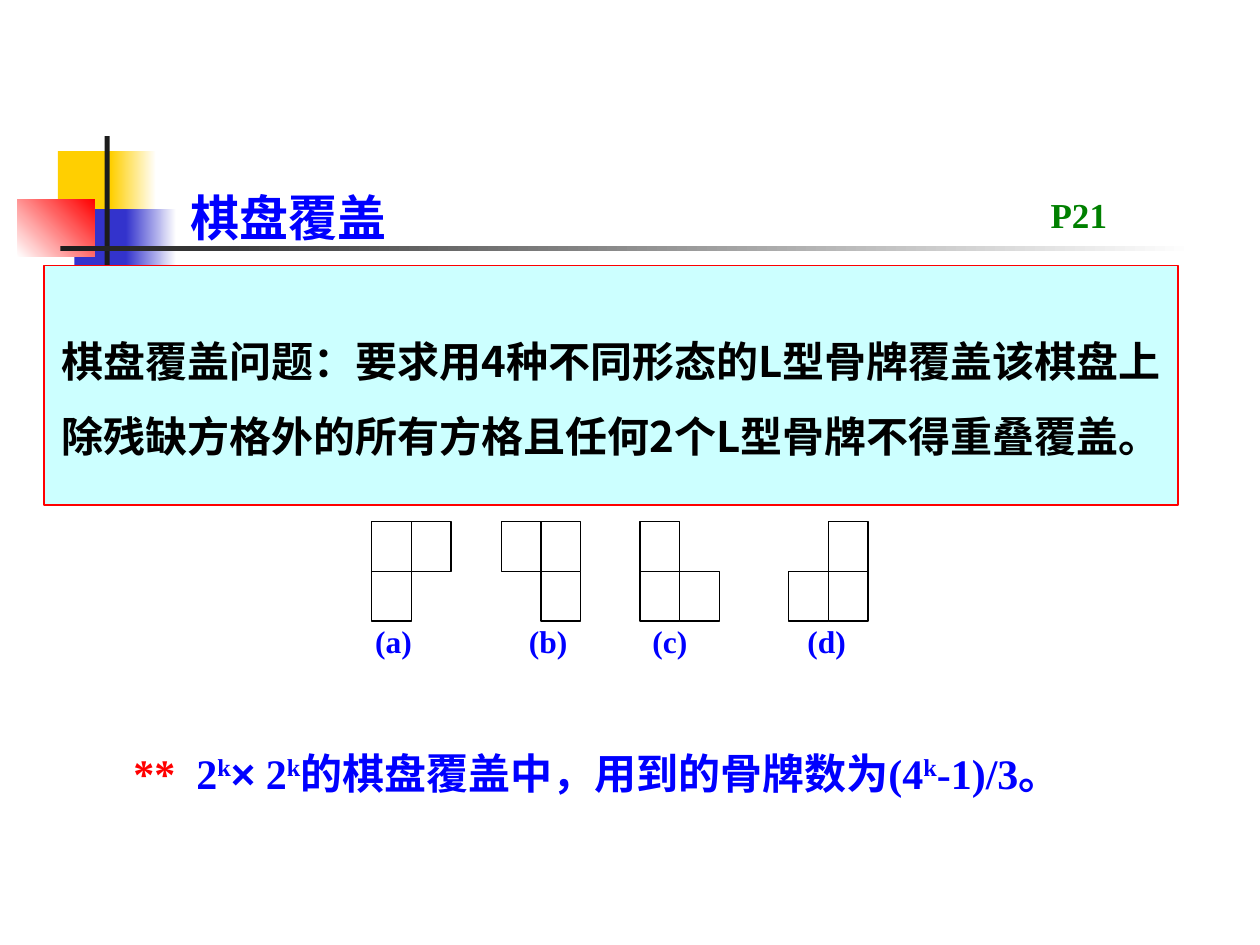
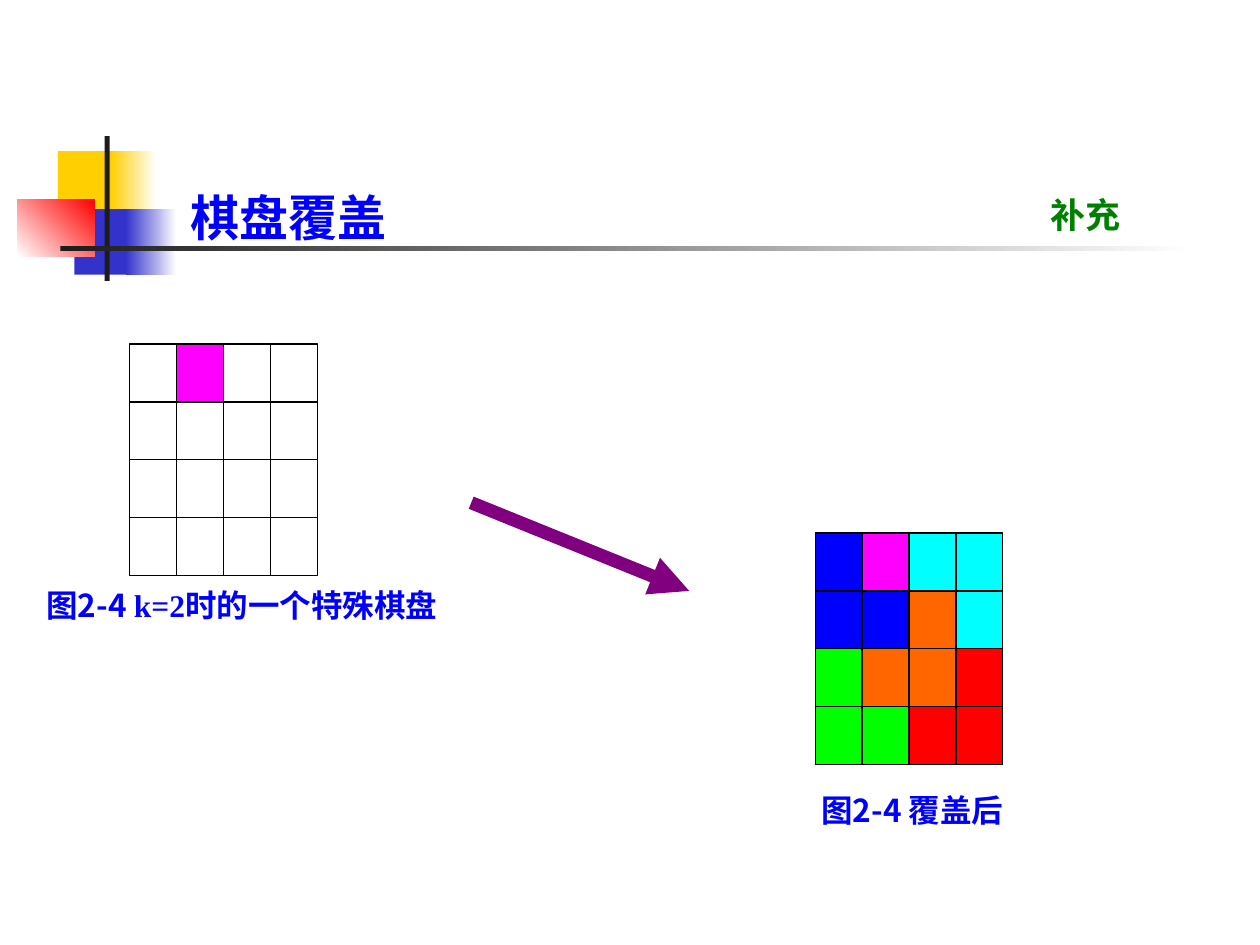
from lxml import etree
from pptx import Presentation
from pptx.dml.color import RGBColor
from pptx.enum.shapes import MSO_CONNECTOR, MSO_SHAPE
from pptx.enum.text import MSO_ANCHOR, MSO_AUTO_SIZE, PP_ALIGN
from pptx.oxml.ns import qn
from pptx.util import Inches, Pt

RECTANGLE = MSO_SHAPE.RECTANGLE
STRAIGHT = MSO_CONNECTOR.STRAIGHT
TOP, MIDDLE = MSO_ANCHOR.TOP, MSO_ANCHOR.MIDDLE
FIT_SHAPE = MSO_AUTO_SIZE.SHAPE_TO_FIT_TEXT
LEFT = PP_ALIGN.LEFT

SERIF, SANS, PLAIN = "Times New Roman", "Noto Sans CJK SC", "Arial"

WHITE = RGBColor(0xFF, 0xFF, 0xFF)
BLACK = RGBColor(0, 0, 0)
BLUE = RGBColor(0, 0, 0xFF)
RED = RGBColor(0xFF, 0, 0)
GREEN = RGBColor(0, 0x80, 0)
PURPLE = RGBColor(0x80, 0, 0x80)
PALE_CYAN = RGBColor(0xCC, 0xFF, 0xFF)
GOLD = RGBColor(0xFF, 0xCF, 0x01)
INDIGO = RGBColor(0x33, 0x33, 0xCC)
CHARCOAL = RGBColor(0x1C, 0x1C, 0x1C)

# Boards are drawn from rows of letters; "." leaves a square out.
SQUARE_COLOURS = {
    "w": WHITE,
    "m": RGBColor(0xFF, 0, 0xFF),
    "b": BLUE,
    "c": RGBColor(0, 0xFF, 0xFF),
    "o": RGBColor(0xFF, 0x66, 0),
    "g": RGBColor(0, 0xFF, 0),
    "r": RED,
}

# box, colours (two make a gradient), gradient angle
ORNAMENTS = [
    ((0.46, 1.2, 0.48, 0.52), [GOLD], 0),
    ((0.88, 1.2, 0.36, 0.52), [GOLD, WHITE], 0),
    ((0.59, 1.66, 0.46, 0.52), [INDIGO], 0),
    ((1, 1.66, 0.4, 0.52), [INDIGO, WHITE], 0),
    ((0.14, 1.58, 0.61, 0.46), [WHITE, RED], 45),
    ((0.83, 1.08, 0.04, 1.15), [CHARCOAL], 0),
    ((0.48, 1.95, 9, 0.04), [CHARCOAL, WHITE], 0),
]

TITLE = "棋盘覆盖"
PROBLEM = ("棋盘覆盖问题：要求用4种不同形态的L型骨牌覆盖该棋盘"
           "上除残缺方格外的所有方格且任何2个L型骨牌不得重叠覆盖。")

# label, label left, piece left, piece rows
PIECES = [
    ("(a)", 2.88, 2.95, ["ww", "w."]),
    ("(b)", 4.1, 3.98, ["ww", ".w"]),
    ("(c)", 5.08, 5.08, ["w.", "ww"]),
    ("(d)", 6.31, 6.26, [".w", "ww"]),
]
PIECE_TOP, PIECE_SQUARE = 4.14, (0.31, 0.39)
PIECE_SQUARE = (0.63 / 2, 0.79 / 2)

# text, font, colour, superscript
TILE_COUNT = [
    ("**  ", SERIF, RED, False),
    ("2", SERIF, BLUE, False),
    ("k", SERIF, BLUE, True),
    ("×", PLAIN, BLUE, False),
    (" 2", SERIF, BLUE, False),
    ("k", SERIF, BLUE, True),
    ("的棋盘覆盖中，用到的骨牌数为", SANS, BLUE, False),
    ("(4", SERIF, BLUE, False),
    ("k", SERIF, BLUE, True),
    ("-1)/3。", SERIF, BLUE, False),
]

BOARD_SQUARE = (1.49 / 4, 1.84 / 4)
# left, top, rows, caption box, caption runs
BOARDS = [
    (1.03, 2.73, ["wmww", "wwww", "wwww", "wwww"], (0.27, 4.48, 4.01, 0.52),
     [("图2-4 ", SANS, BLUE, False), ("k=2", SERIF, BLUE, False),
      ("时的一个特殊棋盘", SANS, BLUE, False)]),
    (6.47, 4.23, ["bmcc", "bboc", "goor", "ggrr"], (6.42, 6.11, 2.12, 0.52),
     [("图2-4 覆盖后", SANS, BLUE, False)]),
]
ARROW = (3.74, 3.99, 5.47, 4.69)


def add_rectangle(slide, box, colours, angle=0, line=None):
    rectangle = slide.shapes.add_shape(RECTANGLE, *map(Inches, box))
    rectangle.shadow.inherit = False
    if len(colours) == 1:
        rectangle.fill.solid()
        rectangle.fill.fore_color.rgb = colours[0]
    else:
        rectangle.fill.gradient()
        rectangle.fill.gradient_angle = angle
        for stop, colour in zip(rectangle.fill.gradient_stops, colours):
            stop.color.rgb = colour
    if line is None:
        rectangle.line.fill.background()
    else:
        rectangle.line.color.rgb = line
        rectangle.line.width = Pt(0.75)
    return rectangle


def write(shape, runs, size, spacing=None, anchor=TOP, before=0, inset=0.1):
    """Fill a shape with one bold paragraph of (text, font, colour, superscript) runs."""
    frame = shape.text_frame
    frame.word_wrap = True
    frame.auto_size = FIT_SHAPE
    frame.vertical_anchor = anchor
    frame.margin_left = Inches(inset)
    paragraph = frame.paragraphs[0]
    paragraph.alignment = LEFT
    paragraph.space_before = Pt(before)
    if spacing:
        paragraph.line_spacing = spacing
    for text, font, colour, superscript in runs:
        run = paragraph.add_run()
        run.text = text
        run.font.size = Pt(size)
        run.font.bold = True
        run.font.name = font
        run.font.color.rgb = colour
        properties = run._r.get_or_add_rPr()
        east_asian = etree.Element(qn("a:ea"), typeface=SANS)
        properties.find(qn("a:latin")).addnext(east_asian)
        if superscript:
            properties.set("baseline", "30000")


def add_text(slide, box, runs, size, **layout):
    write(slide.shapes.add_textbox(*map(Inches, box)), runs, size, **layout)


def add_squares(slide, left, top, rows, square):
    width, height = square
    for row, letters in enumerate(rows):
        for column, letter in enumerate(letters):
            if letter != ".":
                box = (left + column * width, top + row * height, width, height)
                add_rectangle(slide, box, [SQUARE_COLOURS[letter]], line=BLACK)


def add_arrow(slide, ends):
    arrow = slide.shapes.add_connector(STRAIGHT, *map(Inches, ends))
    arrow.line.color.rgb = PURPLE
    arrow.line.width = Pt(7.5)
    etree.SubElement(arrow.line._get_or_add_ln(), qn("a:tailEnd"), type="triangle")
    etree.SubElement(arrow._element.spPr, qn("a:effectLst"))


def start_slide(deck):
    slide = deck.slides.add_slide(deck.slide_layouts[6])
    for box, colours, angle in ORNAMENTS:
        add_rectangle(slide, box, colours, angle)
    return slide


def add_heading(slide, reference):
    add_text(slide, (1.07, 1.25, 2.44, 0.76), [(TITLE, SERIF, BLUE, False)], 28,
             spacing=1.4, anchor=MIDDLE, inset=0.44)
    add_text(slide, (8.24, 1.55, 0.9, 0.37),
             [(reference, SERIF, GREEN, False)], 20, spacing=0.8, before=5)


def build_problem_slide(deck):
    slide = start_slide(deck)
    for label, label_left, left, rows in PIECES:
        add_squares(slide, left, PIECE_TOP, rows, PIECE_SQUARE)
        add_text(slide, (label_left, 4.77, 0.6, 0.52),
                 [(label, SERIF, BLUE, False)], 18, spacing=1.4)
    problem = add_rectangle(slide, (0.35, 2.11, 9, 1.9), [PALE_CYAN], line=RED)
    write(problem, [(PROBLEM, SANS, BLACK, False)], 24,
          spacing=1.5, anchor=MIDDLE, inset=0.14)
    add_text(slide, (0.96, 5.88, 8, 0.5), TILE_COUNT, 24, anchor=MIDDLE)
    add_heading(slide, "P21")


def build_covering_slide(deck):
    slide = start_slide(deck)
    for left, top, rows, caption_box, caption in BOARDS:
        add_squares(slide, left, top, rows, BOARD_SQUARE)
        add_text(slide, caption_box, caption, 18, spacing=1.4)
    add_arrow(slide, ARROW)
    add_heading(slide, "补充")


def main():
    deck = Presentation()
    deck.slide_width, deck.slide_height = Inches(10), Inches(7.5)
    build_problem_slide(deck)
    build_covering_slide(deck)
    deck.save("out.pptx")


if __name__ == "__main__":
    main()
